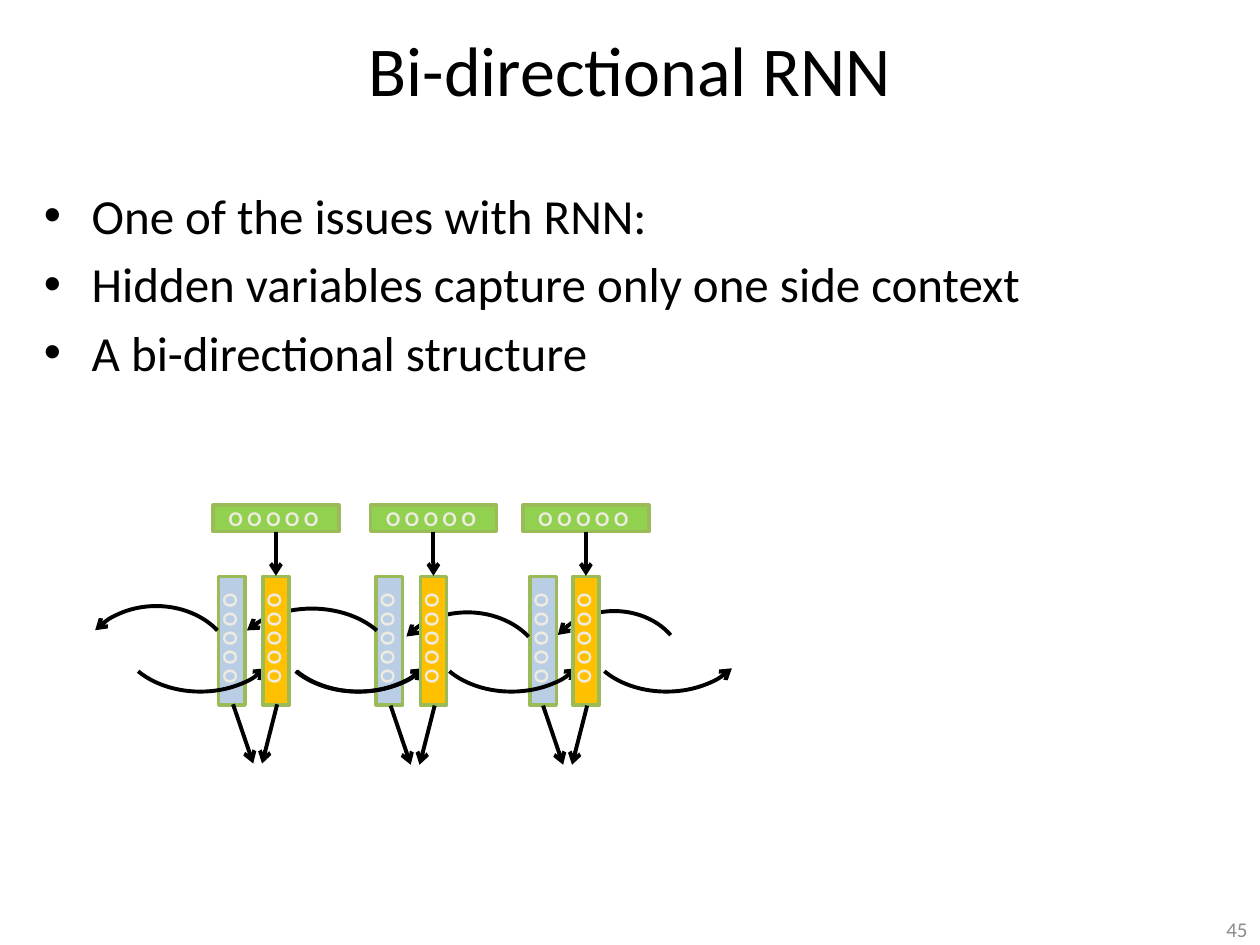
from lxml import etree
from pptx import Presentation
from pptx.dml.color import RGBColor
from pptx.enum import shapes, text
from pptx.oxml.ns import qn
from pptx.util import Inches, Pt

deck = Presentation()
deck.slide_width, deck.slide_height = Inches(10), Inches(7.5)
slide = deck.slides.add_slide(deck.slide_layouts[6])
tree = slide.shapes
Kind = shapes.MSO_SHAPE
Side = text.PP_ALIGN
Mid = text.MSO_ANCHOR.MIDDLE


def color(code):
    return RGBColor.from_string(code)


def write(shape, lines, size, code, align, anchor=Mid, bold=False):
    frame = shape.text_frame
    frame.text = lines
    frame.word_wrap = True
    frame.vertical_anchor = anchor
    for para in frame.paragraphs:
        para.alignment = align
        for run in para.runs:
            run.font.name = "Calibri"
            run.font.size = Pt(size)
            run.font.bold = bold
            run.font.color.rgb = color(code)


title = tree.add_textbox(0, 0, Inches(10), Inches(1.08))
write(title, "Bi-directional RNN", 40, "000000", Side.CENTER)

body = tree.add_textbox(Inches(0.25), Inches(1.42), Inches(9.5), Inches(5.75))
points = [
    "One of the issues with RNN:",
    "Hidden variables capture only one side context",
    "A bi-directional structure",
]
write(body, "\n".join(points), 28, "000000", Side.LEFT, text.MSO_ANCHOR.TOP)
for row, para in enumerate(body.text_frame.paragraphs):
    para.space_before = Pt(5.6 if row else 0)
    props = para._p.get_or_add_pPr()
    props.set("marL", str(Inches(0.38)))
    props.set("indent", str(-Inches(0.38)))
    etree.SubElement(props, qn("a:buFont")).set("typeface", "Arial")
    etree.SubElement(props, qn("a:buChar")).set("char", "•")

number = tree.add_textbox(Inches(7.67), Inches(7.25), Inches(2.33), Inches(0.25))
write(number, "45", 12, "8C8C8C", Side.RIGHT)

blue = [(x, 4.98, 1.02, 90, "B9CDE5") for x in (1.33, 2.58, 3.8)]
green = [(x, 4.01, 1, 0, "92D050") for x in (1.69, 2.94, 4.15)]
gold = [(x, 4.98, 1.02, 90, "FFC000") for x in (1.68, 2.93, 4.14)]
ahead = [(x, 4.56, 1.3, 0.93, 199.001, "tailEnd") for x in (0.94, 2.19, 2.2, 3.41, 4.64)]
back = [
    (x, y, wide, high, 197.145, "headEnd")
    for x, y, wide, high in (
        (0.63, 4.81, 1.22, 0.98),
        (1.8, 4.83, 1.35, 0.98),
        (3.1, 4.86, 1.22, 0.98),
        (4.32, 4.85, 1.11, 0.93),
    )
]

for group in (blue, ahead + back, green + gold):
    for item in group:
        if group is blue or group[0] in green:
            x, y, wide, turn, fill = item
            cell = tree.add_shape(Kind.RECTANGLE, Inches(x), Inches(y), Inches(wide), Inches(0.21))
            cell.rotation = turn
            cell.shadow.inherit = False
            cell.fill.solid()
            cell.fill.fore_color.rgb = color(fill)
            cell.line.color.rgb = color("9BBB59")
            cell.line.width = Pt(2)
            write(cell, "O O O O O ", 12, "EEECE1", Side.CENTER, bold=True)
        else:
            x, y, wide, high, stop, end = item
            arc = tree.add_shape(Kind.ARC, Inches(x), Inches(y), Inches(wide), Inches(high))
            arc.adjustments[0] = 126.945
            arc.adjustments[1] = stop
            arc.shadow.inherit = False
            arc.fill.background()
            arc.line.color.rgb = color("000000")
            arc.line.width = Pt(2.25)
            if end == "tailEnd":
                arc._element.spPr.find(qn("a:xfrm")).set("flipV", "1")
            etree.SubElement(arc.line._get_or_add_ln(), qn("a:" + end)).set("type", "arrow")

arrows = []
for x, low in ((2.19, 5.59), (3.44, 5.6), (4.65, 5.6)):
    arrows += [
        (x, 4.22, x, 4.57),
        (x + 0.01, low, x - 0.11, low + 0.47),
        (x - 0.34, low, x - 0.18, low + 0.47),
    ]
for ends in arrows:
    arrow = tree.add_connector(shapes.MSO_CONNECTOR.STRAIGHT, *map(Inches, ends))
    arrow.line.color.rgb = color("000000")
    arrow.line.width = Pt(2.25)
    etree.SubElement(arrow.line._get_or_add_ln(), qn("a:tailEnd")).set("type", "arrow")
    etree.SubElement(arrow._element.spPr, qn("a:effectLst"))

deck.save("out.pptx")
